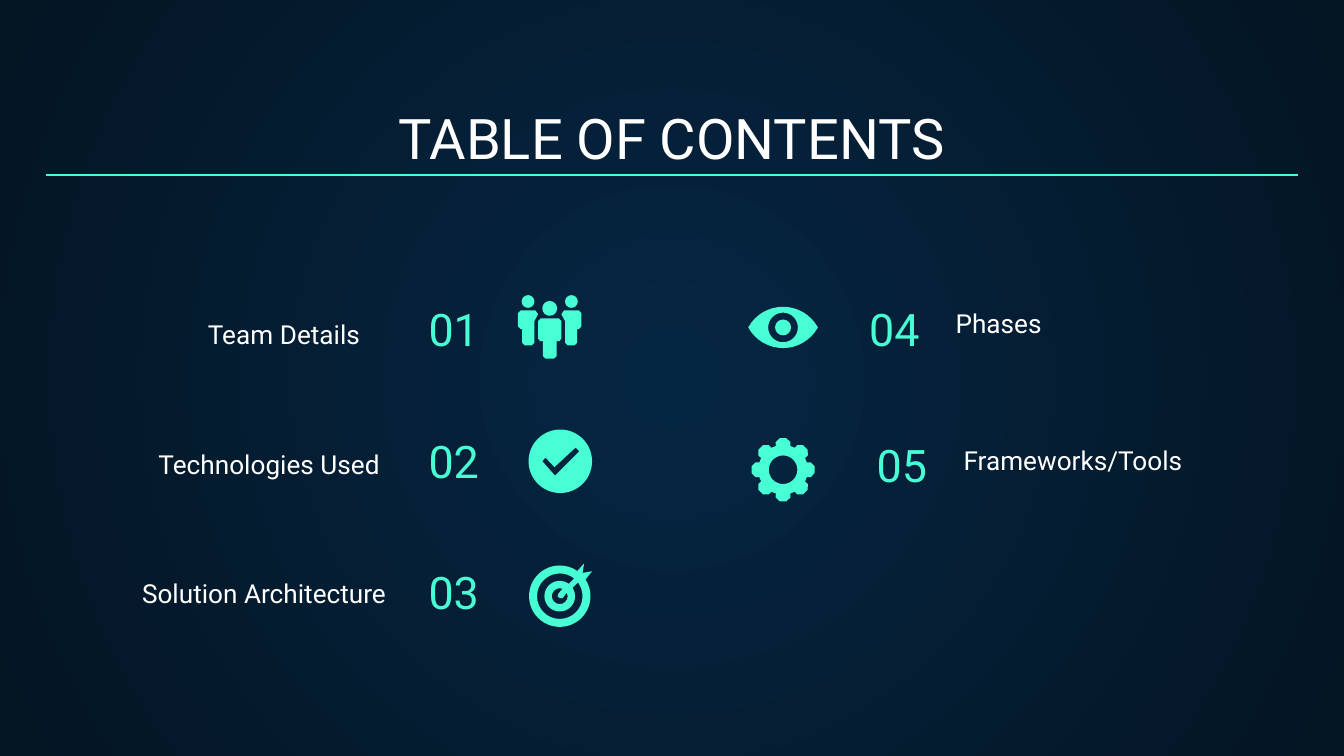
from dataclasses import dataclass
from itertools import pairwise
from math import ceil, cos, floor, radians, sin, tan
from typing import NamedTuple

from lxml.etree import SubElement
from pptx import Presentation
from pptx.dml.color import RGBColor
from pptx.enum.shapes import MSO_CONNECTOR
from pptx.enum.text import MSO_ANCHOR, MSO_AUTO_SIZE, PP_ALIGN
from pptx.oxml.ns import qn
from pptx.shapes.shapetree import GroupShapes
from pptx.slide import Slide
from pptx.util import Cm, Pt


class Point(NamedTuple):
    x: float
    y: float
    curved: bool = False


Contour = list[Point]


@dataclass(frozen=True)
class Theme:
    font: str = "Roboto"
    white: RGBColor = RGBColor(0xFF, 0xFF, 0xFF)
    accent: RGBColor = RGBColor(0x48, 0xFF, 0xD5)
    glow: RGBColor = RGBColor(0x05, 0x26, 0x43)
    edge: RGBColor = RGBColor(0x04, 0x15, 0x23)
    title_size: Pt = Pt(30)
    number_size: Pt = Pt(24)
    label_size: Pt = Pt(14)
    rule_width: Pt = Pt(0.75)


@dataclass(frozen=True)
class TextBox:
    text: str
    left: float
    top: float
    width: float
    height: float
    size: Pt
    color: RGBColor
    align: PP_ALIGN = PP_ALIGN.LEFT
    anchor: MSO_ANCHOR = MSO_ANCHOR.BOTTOM
    indent: float = 0


THEME = Theme()
LABEL_HEIGHT = 0.53
NUMBER_WIDTH, NUMBER_HEIGHT = 3.28, 1.68
FIRST_NUMBER_TOP, NUMBER_STEP = 5.29, 2.49
FIRST_LABEL_TOP, LABEL_STEP = 6.34, 2.44


def set_all(target: object, values: dict) -> None:
    for name, value in values.items():
        setattr(target, name, value)


def paint_background(page: Slide) -> None:
    fill = page.background.fill
    fill.gradient()
    for position, (stop, color) in enumerate(zip(fill.gradient_stops, (THEME.glow, THEME.edge))):
        stop.color.rgb = color
        stop.position = position
    gradient = page.element.find(".//" + qn("a:gradFill"))
    gradient.remove(gradient.find(qn("a:lin")))
    circle = SubElement(gradient, qn("a:path"), path="circle")
    SubElement(circle, qn("a:fillToRect"), l="50000", t="50000", r="50000", b="50000")


def draw_text(page: Slide, item: TextBox) -> None:
    box = page.shapes.add_textbox(Cm(item.left), Cm(item.top), Cm(item.width), Cm(item.height))
    frame = box.text_frame
    set_all(frame, {"word_wrap": True, "auto_size": MSO_AUTO_SIZE.NONE, "vertical_anchor": item.anchor})
    set_all(frame, {f"margin_{side}": Cm(0.25) for side in ("left", "right", "top", "bottom")})
    para = frame.paragraphs[0]
    para.alignment = item.align
    if item.indent:
        para._p.get_or_add_pPr().set("marL", str(Cm(item.indent)))
    span = para.add_run()
    span.text = item.text
    set_all(span.font, {"name": THEME.font, "size": item.size})
    span.font.color.rgb = item.color


def draw_rule(page: Slide) -> None:
    rule = page.shapes.add_connector(MSO_CONNECTOR.STRAIGHT, Cm(0.86), Cm(3.31), Cm(24.54), Cm(3.31))
    rule.line.color.rgb = THEME.accent
    rule.line.width = THEME.rule_width
    SubElement(rule._element.spPr, qn("a:effectLst"))


def draw_icon(shapes: GroupShapes, center: tuple[float, float], contours: list[Contour]) -> None:
    placed = [[(Cm(center[0] + x), Cm(center[1] + y)) for x, y, *_ in contour] for contour in contours]
    builder = shapes.build_freeform(*placed[0][0], scale=1.0)
    for index, (start, *rest) in enumerate(placed):
        if index:
            builder.move_to(*start)
        builder.add_line_segments(rest, close=True)
    icon = builder.convert_to_shape()
    bend_outline(icon._element.find(".//" + qn("a:path")), contours)
    icon.shadow.inherit = False
    icon.fill.solid()
    icon.fill.fore_color.rgb = THEME.accent
    icon.line.fill.background()


def bend_outline(outline, contours: list[Contour]) -> None:
    steps = [step for step in outline if step.tag != qn("a:close")]
    points = [Point(*point) for contour in contours for point in contour]
    bent = [step for step, point in zip(steps, points) if point.curved]
    for first, second, third in zip(bent[::3], bent[1::3], bent[2::3]):
        curve = SubElement(outline, qn("a:cubicBezTo"))
        outline.replace(first, curve)
        for step in (first, second, third):
            curve.append(step[0])
        outline.remove(second)
        outline.remove(third)


def polar(angle: float, radius: float) -> Point:
    return Point(radius * cos(radians(angle)), radius * sin(radians(angle)))


def arc(radius: float, start: float = 0, end: float = 360, drop: float = 0) -> Contour:
    low, high = sorted((start, end))
    quarters = [90 * turn for turn in range(floor(low / 90) + 1, ceil(high / 90))]
    stops = sorted([low, *quarters, high], reverse=start > end)
    points = [polar(start, radius)]
    for begin, finish in pairwise(stops):
        reach = 4 / 3 * tan(radians(finish - begin) / 4)
        a, b = polar(begin, radius), polar(finish, radius)
        points += [
            Point(a.x - reach * a.y, a.y + reach * a.x, True),
            Point(b.x + reach * b.y, b.y - reach * b.x, True),
            Point(b.x, b.y, True),
        ]
    return [Point(x, y + drop, curved) for x, y, curved in points]


def mirror(points: Contour) -> Contour:
    return [(-x, y) for x, y in points]


def draw_team(page: Slide, center: tuple[float, float]) -> None:
    team = page.shapes.add_group_shape().shapes
    x, y = center
    side_body = [
        (0.27, -0.45), (0.55, -0.45), (0.6, -0.4), (0.6, -0.15), (0.55, -0.1),
        (0.52, -0.1), (0.52, 0.16), (0.47, 0.21), (0.34, 0.21), (0.29, 0.16),
        (0.29, -0.25), (0.22, -0.38),
    ]
    front_half = [
        (0.17, -0.3), (0.22, -0.25), (0.22, 0.08), (0.18, 0.13),
        (0.13, 0.13), (0.13, 0.41), (0.08, 0.46),
    ]
    for side, body in ((-1, mirror(side_body)), (1, side_body)):
        draw_icon(team, (x + side * 0.41, y - 0.62), [arc(0.12)])
        draw_icon(team, center, [body])
    draw_icon(team, center, [front_half + mirror(front_half)[::-1]])
    draw_icon(team, (x, y - 0.49), [arc(0.14)])


def check_contours() -> list[Contour]:
    tick = [(0.29, -0.26), (0.36, -0.19), (-0.1, 0.27), (-0.34, 0), (-0.28, -0.07), (-0.11, 0.11)]
    return [arc(0.6), tick]


def target_contours() -> list[Contour]:
    outside = arc(0.58, -33, -235 + 540) + [(0.46, -0.62), (0.43, -0.44), (0.61, -0.47)]
    band = arc(0.43, -37, 309) + arc(0.29, 306, -33)
    middle = arc(0.15, -27, 290) + [(-0.03, -0.04), (-0.04, 0.01), (0.01, 0.04), (0.05, 0.04)]
    return [outside, band, middle]


def eye_contours() -> list[Contour]:
    upper, lower = arc(0.75, 209, 331, 0.36), arc(0.75, 29, 151, -0.36)
    return [upper + lower, arc(0.28), arc(0.15)]


def gear_contours() -> list[Contour]:
    tooth = [(-17, 0.47), (-15, 0.54), (-6, 0.6), (6, 0.6), (15, 0.54), (17, 0.47)]
    rim = [polar(turn + angle, radius) for turn in range(0, 360, 45) for angle, radius in tooth]
    return [rim, arc(0.27)]


def number_box(text: str, left: float, top: float, align: PP_ALIGN) -> TextBox:
    return TextBox(text, left, top, NUMBER_WIDTH, NUMBER_HEIGHT, THEME.number_size, THEME.accent, align)


def label_box(text: str, left: float, top: float, width: float, **options) -> TextBox:
    return TextBox(text, left, top, width, LABEL_HEIGHT, THEME.label_size, THEME.white, **options)


def main() -> None:
    deck = Presentation()
    set_all(deck, {"slide_width": Cm(25.4), "slide_height": Cm(14.29)})
    page = deck.slides.add_slide(deck.slide_layouts[6])
    paint_background(page)
    draw_text(page, TextBox("TABLE OF CONTENTS", 0.86, 1.79, 23.67, 1.68,
                            THEME.title_size, THEME.white, PP_ALIGN.CENTER))
    draw_rule(page)
    left_topics = [
        ("Team Details", 1.79, {"indent": 1.89}),
        ("Technologies Used", 1.66, {"align": PP_ALIGN.RIGHT}),
        ("Solution Architecture", 1.78, {"align": PP_ALIGN.RIGHT}),
    ]
    for row, (topic, left, options) in enumerate(left_topics):
        number_top = FIRST_NUMBER_TOP + row * NUMBER_STEP
        draw_text(page, number_box(f"{row + 1:02}", 7.85, number_top, PP_ALIGN.LEFT))
        draw_text(page, label_box(topic, left, FIRST_LABEL_TOP + row * LABEL_STEP, 5.77, **options))
    right_topics = [
        ("04", 14.35, 5.29, "Phases", 17.81, 5.56, 2.79),
        ("05", 14.49, 7.86, "Frameworks/Tools", 17.96, 8.15, 4.83),
    ]
    for number, number_left, number_top, topic, left, top, width in right_topics:
        draw_text(page, number_box(number, number_left, number_top, PP_ALIGN.RIGHT))
        draw_text(page, label_box(topic, left, top, width, anchor=MSO_ANCHOR.TOP))
    draw_team(page, (10.39, 6.32))
    icons = [
        ((10.59, 8.72), check_contours()), ((10.58, 11.27), target_contours()),
        ((14.8, 6.19), eye_contours()), ((14.8, 8.88), gear_contours()),
    ]
    for center, contours in icons:
        draw_icon(page.shapes, center, contours)
    deck.save("out.pptx")


if __name__ == "__main__":
    main()
